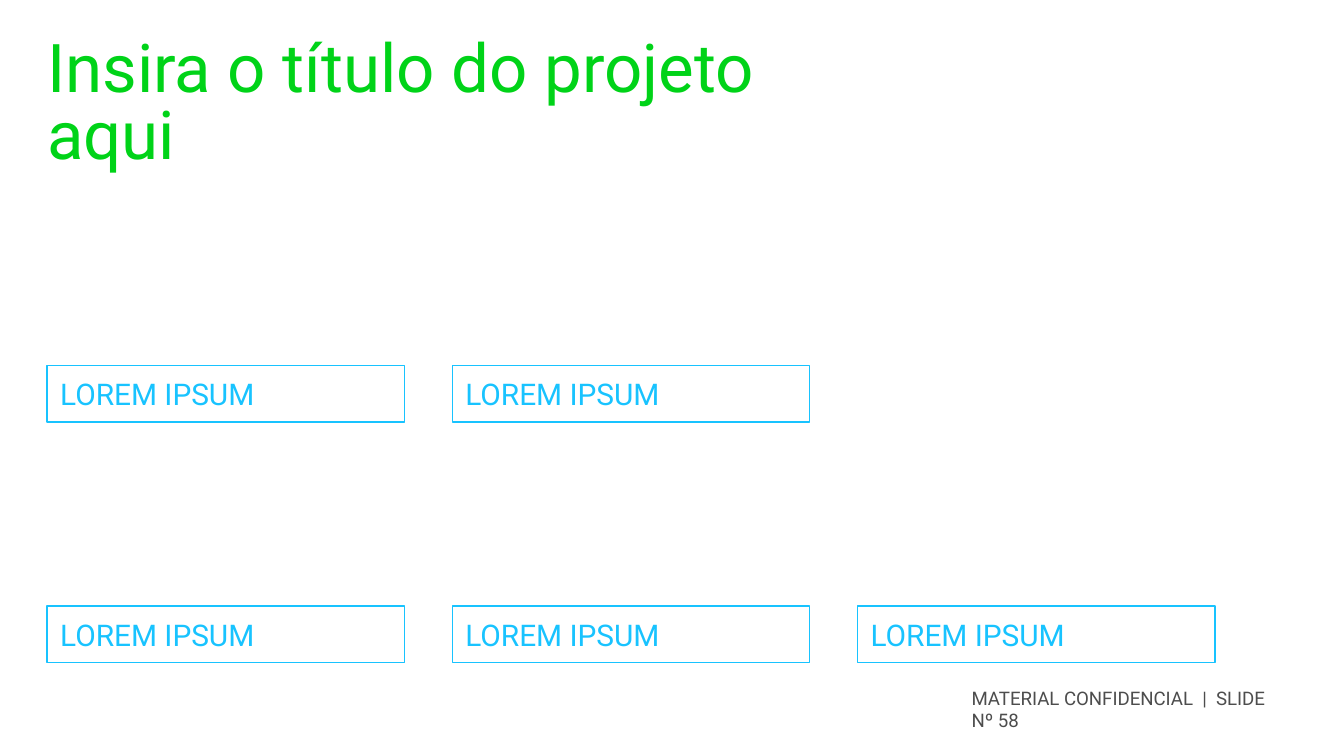
from dataclasses import dataclass
from pptx import Presentation
from pptx.dml.color import RGBColor
from pptx.enum.shapes import MSO_SHAPE
from pptx.enum.text import MSO_ANCHOR, MSO_AUTO_SIZE, PP_ALIGN
from pptx.shapes.autoshape import Shape
from pptx.slide import Slide
from pptx.util import Inches, Pt

GREEN = RGBColor(0x00, 0xD3, 0x18)
BLUE = RGBColor(0x18, 0xC3, 0xFF)
GRAY = RGBColor(0x4D, 0x4D, 0x4D)
FONT = "Roboto"
LEFT, LAST = 0.35, 6.38
STEP = (LAST - LEFT) / 2
WIDTH, HEIGHT = 2.66, 0.42


@dataclass
class Row:
    top: float
    count: int


ROWS = [Row(2.72, 2), Row(4.51, 3)]


def write(shape: Shape, text: str, size: float, color: RGBColor,
          anchor: MSO_ANCHOR = MSO_ANCHOR.TOP, inset: float = 0) -> None:
    frame = shape.text_frame
    frame.text = text
    layout = {
        "word_wrap": True,
        "auto_size": MSO_AUTO_SIZE.NONE,
        "vertical_anchor": anchor,
        "margin_left": Inches(inset),
        "margin_right": Inches(inset),
        "margin_top": 0,
        "margin_bottom": 0,
    }
    for name, value in layout.items():
        setattr(frame, name, value)
    line = frame.paragraphs[0]
    line.alignment = PP_ALIGN.LEFT
    font = line.runs[0].font
    for name, value in {"name": FONT, "size": Pt(size)}.items():
        setattr(font, name, value)
    font.color.rgb = color


def add_title(slide: Slide, text: str) -> None:
    title = slide.shapes.title
    place = {"left": LEFT, "top": 0.29, "width": 5.67, "height": 0.92}
    for name, value in place.items():
        setattr(title, name, Inches(value))
    write(title, text, 36, GREEN)
    title.text_frame.paragraphs[0].line_spacing = Pt(36)


def add_label(slide: Slide, left: float, top: float, text: str) -> None:
    label = slide.shapes.add_shape(
        MSO_SHAPE.RECTANGLE, Inches(left), Inches(top),
        Inches(WIDTH), Inches(HEIGHT))
    label.shadow.inherit = False
    label.fill.background()
    label.line.color.rgb = BLUE
    label.line.width = Pt(0.75)
    write(label, text, 16, BLUE, MSO_ANCHOR.MIDDLE, 0.1)


def add_footer(slide: Slide, text: str) -> None:
    footer = slide.shapes.add_textbox(
        Inches(7.23), Inches(5.11), Inches(2.33), Inches(0.3))
    write(footer, text, 10, GRAY)


def main() -> None:
    deck = Presentation()
    deck.slide_width = Inches(10)
    deck.slide_height = Inches(10 * 9 / 16)
    slide = deck.slides.add_slide(deck.slide_layouts[5])
    add_footer(slide, "MATERIAL CONFIDENCIAL  |  SLIDE Nº 58")
    add_title(slide, "Insira o título do projeto aqui")
    for row in ROWS:
        for col in range(row.count):
            add_label(slide, LEFT + col * STEP, row.top, "LOREM IPSUM")
    deck.save("out.pptx")


if __name__ == "__main__":
    main()
